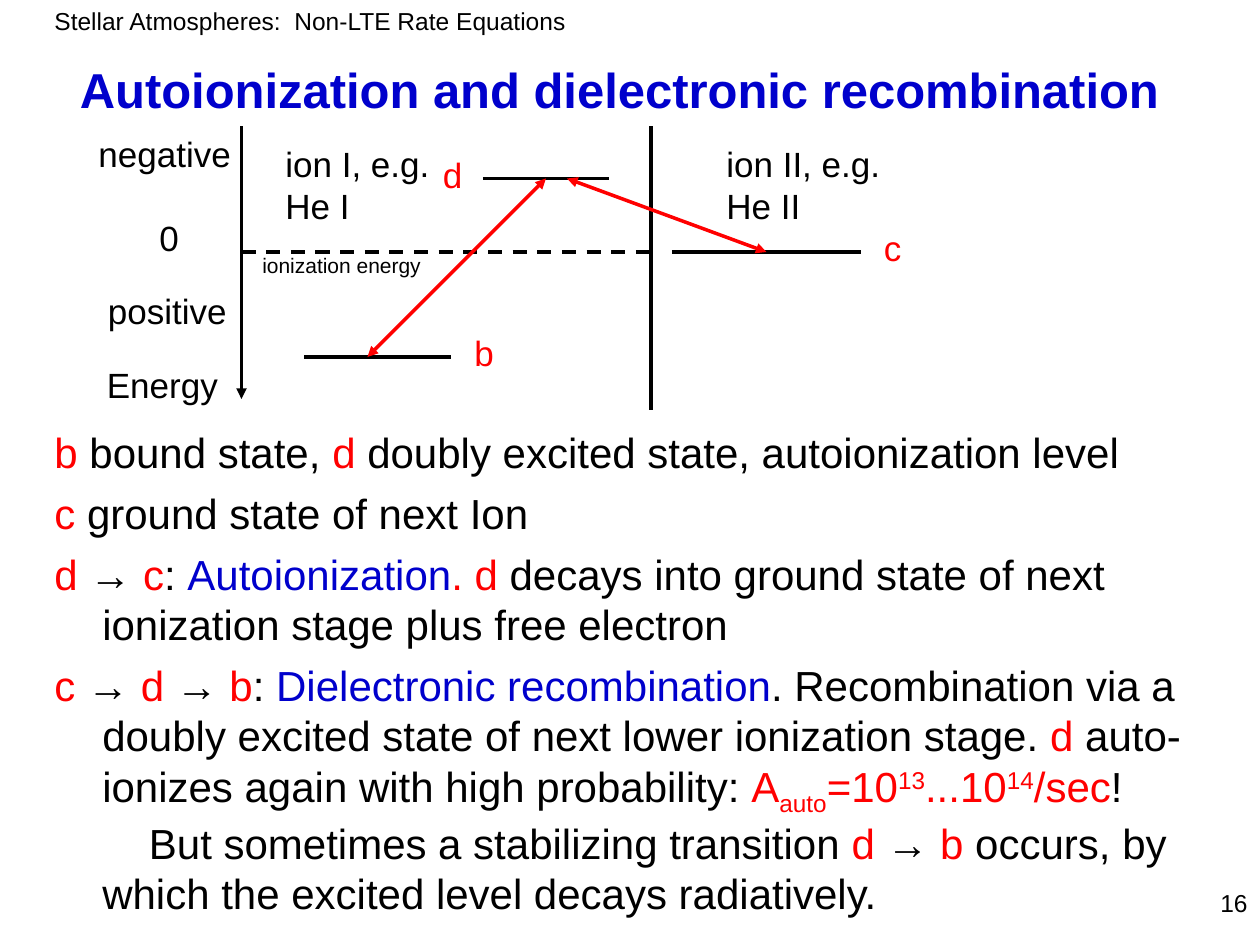
from lxml.etree import SubElement
from pptx import Presentation
from pptx.dml.color import RGBColor
from pptx.enum.dml import MSO_LINE
from pptx.enum.shapes import MSO_CONNECTOR
from pptx.enum.text import MSO_ANCHOR, MSO_AUTO_SIZE, PP_ALIGN
from pptx.oxml.ns import qn
from pptx.util import Inches, Pt

BLACK, RED, BLUE = "000000", "FF0000", "0000CC"


def tint(code):
    return RGBColor.from_string(code)


class Page:
    """Holds the style and the slide; lengths are cells of a 120 x 90 grid."""
    face = "Arial"
    cell = Inches(10) / 120

    def __init__(self, deck):
        self.slide = deck.slides.add_slide(deck.slide_layouts[5])

    def grid(self, *cells):
        return [round(n * self.cell) for n in cells]

    def style(self, run, size, color, bold=False, base=0):
        font = run.font
        font.name, font.size, font.bold = self.face, Pt(size), bold
        font.color.rgb = tint(color)
        if base:
            run._r.get_or_add_rPr().set("baseline", str(base * 1000))

    def title(self, text, area):
        box = self.slide.shapes.title
        box.left, box.top, box.width, box.height = self.grid(*area)
        frame = box.text_frame
        frame.text = text
        frame.auto_size = MSO_AUTO_SIZE.NONE
        frame.vertical_anchor = MSO_ANCHOR.MIDDLE
        para = frame.paragraphs[0]
        para.alignment = PP_ALIGN.CENTER
        self.style(para.runs[0], 28, BLUE, bold=True)

    def frame(self, area, wrap=True):
        frame = self.slide.shapes.add_textbox(*self.grid(*area)).text_frame
        frame.word_wrap = wrap
        return frame

    def label(self, text, area, size=20, color=BLACK, wrap=True,
              align=PP_ALIGN.LEFT):
        frame = self.frame(area, wrap)
        frame.text = text
        para = frame.paragraphs[0]
        para.alignment = align
        self.style(para.runs[0], size, color)

    def body(self, items, area):
        """Each item: first-line indent, space before, then its runs."""
        frame = self.frame(area)
        for i, (indent, space, parts) in enumerate(items):
            para = frame.paragraphs[0] if i == 0 else frame.add_paragraph()
            props = para._p.get_or_add_pPr()
            props.set("marL", str(Inches(0.38)))
            props.set("indent", str(Inches(indent)))
            para.space_before = Pt(space)
            for text, color, *base in parts:
                run = para.add_run()
                run.text = text
                self.style(run, 24, color, base=base[0] if base else 0)

    def line(self, start, end, color=BLACK, dash=False, ends=()):
        link = self.slide.shapes.add_connector(
            MSO_CONNECTOR.STRAIGHT, *self.grid(*start, *end))
        link.line.color.rgb = tint(color)
        link.line.width = Pt(2)
        if dash:
            link.line.dash_style = MSO_LINE.DASH
        for end in ends:
            SubElement(link.line._get_or_add_ln(), qn(f"a:{end}"),
                       type="triangle")
        SubElement(link._element.spPr, qn("a:effectLst"))


def main():
    deck = Presentation()
    deck.slide_width, deck.slide_height = Inches(10), Inches(7.5)
    page = Page(deck)

    # Header and title
    page.label("Stellar Atmospheres:  Non-LTE Rate Equations",
               (4, 0, 111, 4), size=14)
    page.title("Autoionization and dielectronic recombination",
               (3, 4, 112, 9))

    # Explanations
    hang, arrow = -0.38, ("→ ", BLACK)
    page.body([
        (hang, 0, [("b", RED), (" bound state, ", BLACK), ("d", RED),
                   (" doubly excited state, autoionization level", BLACK)]),
        (hang, 6, [("c", RED), (" ground state of next Ion", BLACK)]),
        (hang, 6, [("d ", RED), arrow, ("c", RED), (": ", BLACK),
                   ("Autoionization", BLUE), (". d", RED),
                   (" decays into ground state of next ionization stage "
                    "plus free electron", BLACK)]),
        (hang, 6, [("c ", RED), arrow, ("d ", RED), arrow, ("b", RED),
                   (": ", BLACK), ("Dielectronic recombination", BLUE),
                   (". Recombination via a doubly excited state of next "
                    "lower ionization stage. ", BLACK), ("d", RED),
                   (" auto-ionizes again with high probability: ", BLACK),
                   ("A", RED), ("auto", RED, -25), ("=10", RED),
                   ("13", RED, 30), ("...10", RED), ("14", RED, 30),
                   ("/sec", RED), ("!", BLACK)]),
        (0.37, 0, [("But sometimes a stabilizing transition ", BLACK),
                   ("d ", RED), arrow, ("b", RED),
                   (" occurs, by which the excited level decays "
                    "radiatively.", BLACK)]),
    ], (4, 40, 112, 48))

    # Energy axis, ionization limit and divider
    page.line((23, 12), (23, 38), ends=["tailEnd"])
    page.line((23, 24), (62, 24), dash=True)
    page.line((62, 12), (62, 39))

    # Levels c, b and d
    for left, right, row in [(64, 82, 24), (29, 43, 34), (46, 58, 17)]:
        page.line((left, row), (right, row))

    # Transitions
    for start, end in [((35, 34), (52, 17)), ((54, 17), (73, 24))]:
        page.line(start, end, RED, ends=["headEnd", "tailEnd"])

    # Axis, level and ion labels
    for text, left, top, width in [("0", 14, 20, 7), ("negative", 8.2, 12, 19),
                                   ("positive", 9.1, 27, 15),
                                   ("Energy", 9, 34, 17)]:
        page.label(text, (left, top, width, 5.3))
    for text, left, top in [("b", 44, 31), ("d", 41, 14), ("c", 83, 21)]:
        page.label(text, (left, top, 4, 5.3), color=RED)
    for text, left in [("ion I, e.g. He I", 26), ("ion II, e.g. He II", 68)]:
        page.label(text, (left, 13, 21, 9.2))
    page.label("ionization energy", (23.8, 23.5, 17.5, 3.6), size=12,
               wrap=False)

    # Page number
    page.label("16", (111, 84, 9, 6), size=14, align=PP_ALIGN.RIGHT)
    deck.save("out.pptx")


if __name__ == "__main__":
    main()
